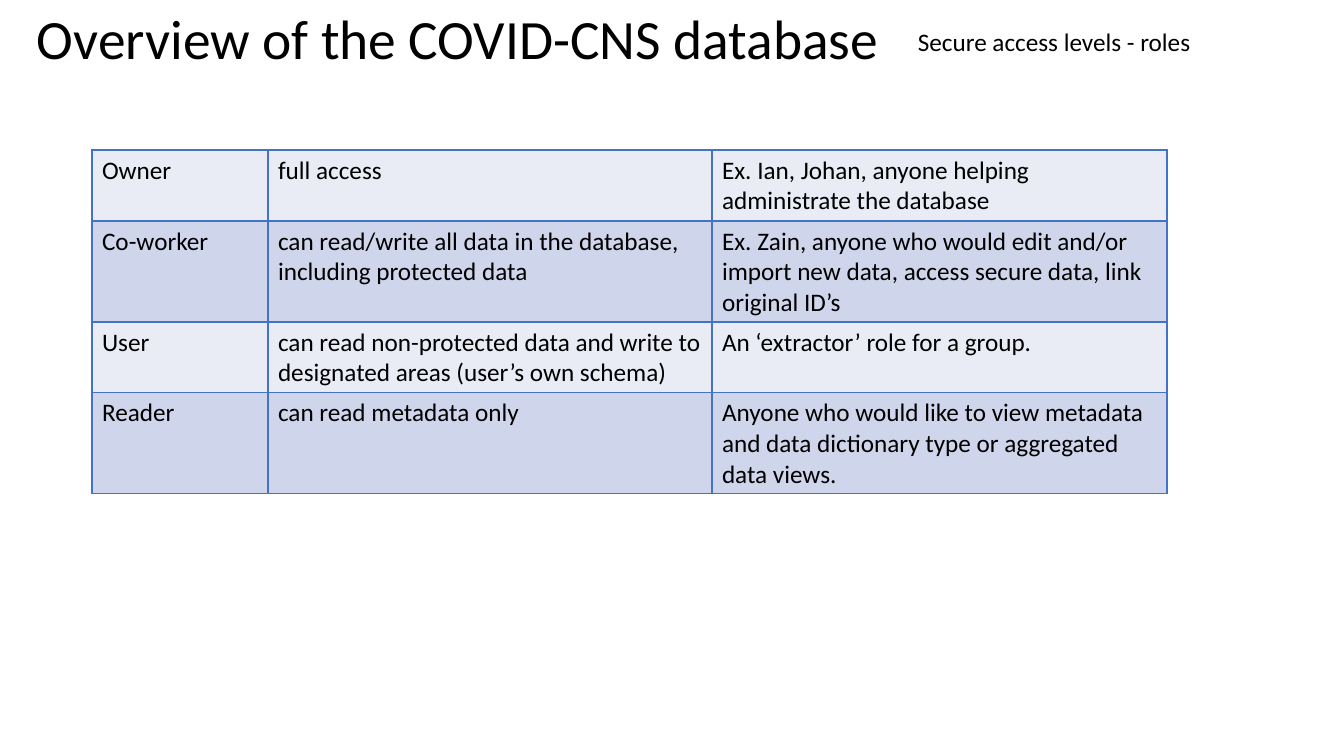
from dataclasses import dataclass

from lxml.etree import SubElement
from pptx import Presentation
from pptx.dml.color import RGBColor
from pptx.enum.text import MSO_ANCHOR as Anchor
from pptx.oxml.ns import qn
from pptx.util import Pt

TITLE = "Overview of the COVID-CNS database"
SUBTITLE = "Secure access levels - roles"
ROLES = [
    ("Owner", "full access",
     "Ex. Ian, Johan, anyone helping administrate the database"),
    ("Co-worker",
     "can read/write all data in the database, including protected data",
     "Ex. Zain, anyone who would edit and/or import new data, "
     "access secure data, link original ID’s"),
    ("User",
     "can read non-protected data and write to designated areas "
     "(user’s own schema)",
     "An ‘extractor’ role for a group."),
    ("Reader", "can read metadata only",
     "Anyone who would like to view metadata and data dictionary type "
     "or aggregated data views."),
]

SLIDE_SIZE = (1344, 756)
TITLE_BOX = (27, 2, 895, 80)
SUBTITLE_BOX = (908, 21, 420, 40)
TABLE_ORIGIN = (92, 150)
COLUMN_WIDTHS = (176, 444, 455)
ROW_HEIGHTS = (71, 101, 70, 101)


@dataclass(frozen=True)
class Theme:
    font: str = "Calibri"
    ink: str = "000000"
    bands: tuple = ("E9EBF5", "CFD5EA")
    border: str = "4472C4"
    border_width: float = 1
    title_size: float = 39.6
    body_size: float = 18


THEME = Theme()


def px(length):
    return round(length * 914400 / 100.8)


def write(frame, text, size):
    frame.word_wrap = True
    para = frame.paragraphs[0]
    para.text = text
    para.font.name = THEME.font
    para.font.size = Pt(size)
    para.font.color.rgb = RGBColor.from_string(THEME.ink)
    return para


def add_text(page, bounds, text, size):
    box = page.shapes.add_textbox(*map(px, bounds))
    frame = box.text_frame
    frame.vertical_anchor = Anchor.MIDDLE
    return write(frame, text, size)


def outline(cell):
    properties = cell._tc.get_or_add_tcPr()
    for position, side in enumerate(("lnL", "lnR", "lnT", "lnB")):
        line = SubElement(properties, qn(f"a:{side}"), w=str(Pt(THEME.border_width)))
        properties.insert(position, line)
        fill = SubElement(line, qn("a:solidFill"))
        SubElement(fill, qn("a:srgbClr"), val=THEME.border)


def add_roles(page):
    bounds = (*TABLE_ORIGIN, sum(COLUMN_WIDTHS), sum(ROW_HEIGHTS))
    table = page.shapes.add_table(
        len(ROLES), len(COLUMN_WIDTHS), *map(px, bounds)).table
    table.first_row = False
    for column, width in zip(table.columns, COLUMN_WIDTHS):
        column.width = px(width)
    for index, (row, height, texts) in enumerate(zip(table.rows, ROW_HEIGHTS, ROLES)):
        row.height = px(height)
        band = THEME.bands[index % len(THEME.bands)]
        for cell, text in zip(row.cells, texts):
            write(cell.text_frame, text, THEME.body_size)
            cell.fill.solid()
            cell.fill.fore_color.rgb = RGBColor.from_string(band)
            outline(cell)


def main():
    deck = Presentation()
    deck.slide_width, deck.slide_height = map(px, SLIDE_SIZE)
    page = deck.slides.add_slide(deck.slide_layouts[6])
    title = add_text(page, TITLE_BOX, TITLE, THEME.title_size)
    title.line_spacing = 0.9
    add_text(page, SUBTITLE_BOX, SUBTITLE, THEME.body_size)
    add_roles(page)
    deck.save("out.pptx")


if __name__ == "__main__":
    main()
